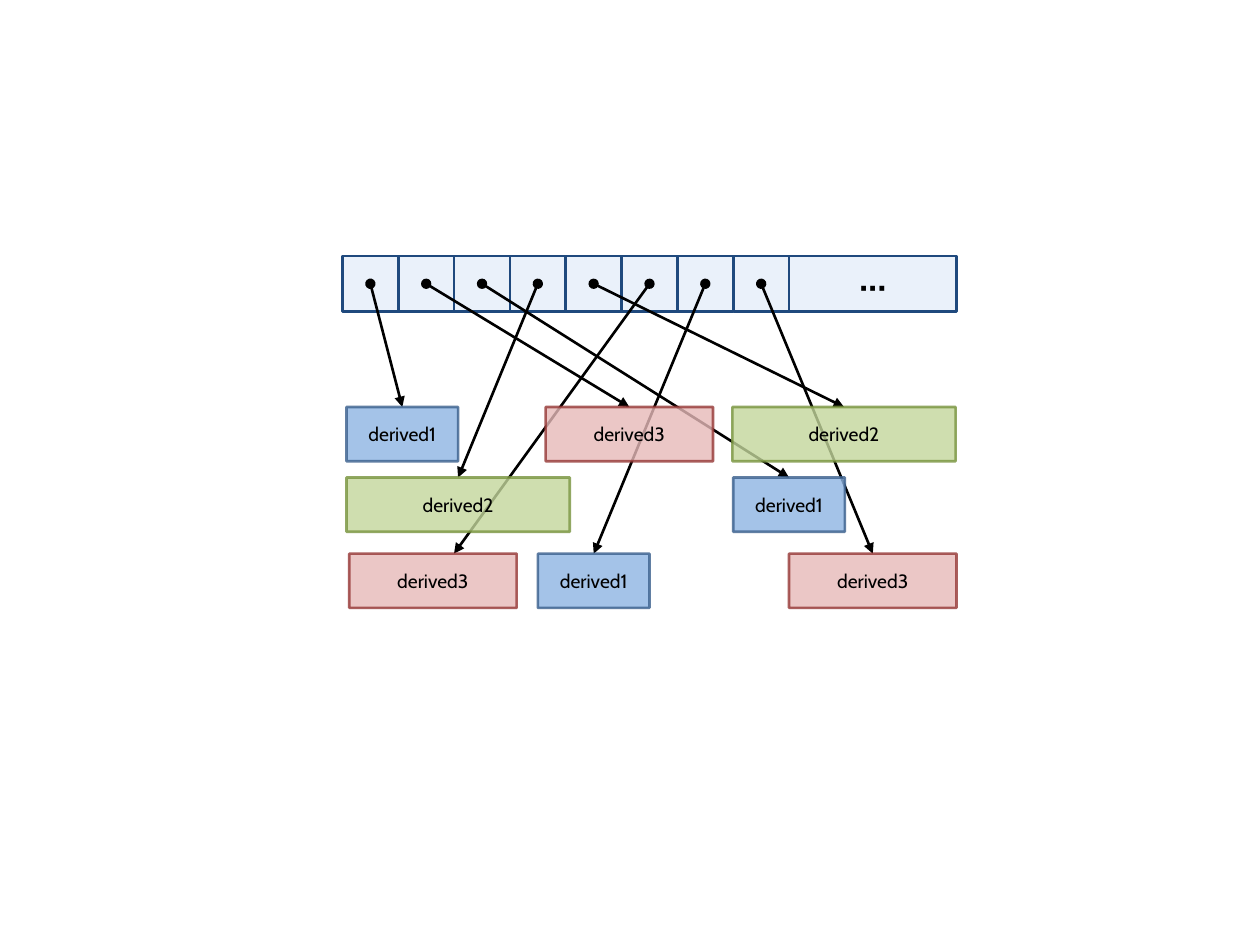
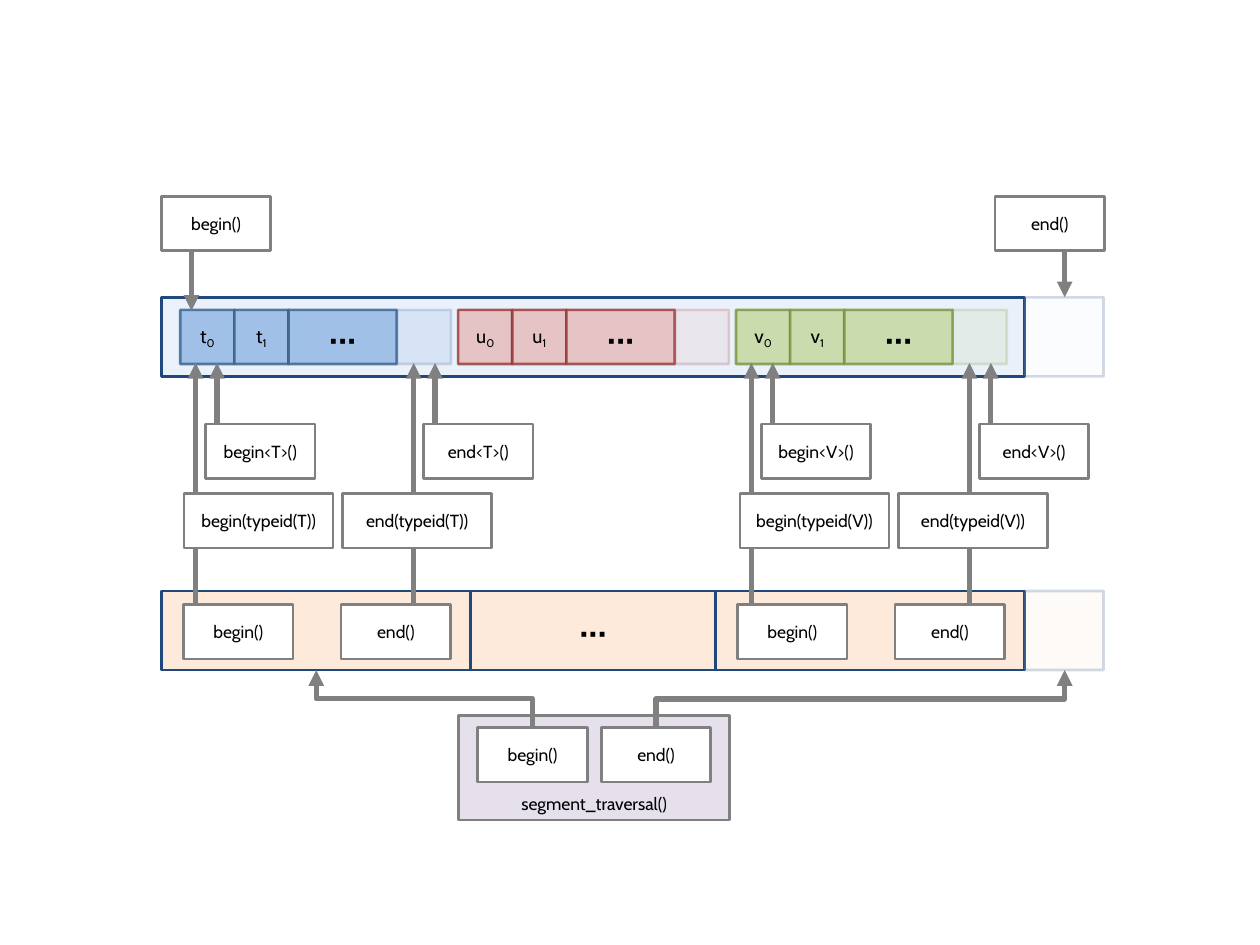
from pptx import Presentation
from pptx.dml.color import RGBColor
from pptx.enum.shapes import MSO_CONNECTOR, MSO_SHAPE
from pptx.enum.text import MSO_ANCHOR, PP_ALIGN
from pptx.oxml.ns import qn
from pptx.util import Pt
from lxml import etree

RECT = MSO_SHAPE.RECTANGLE
LINE, ELBOW = MSO_CONNECTOR.STRAIGHT, MSO_CONNECTOR.ELBOW
MIDDLE, BOTTOM = MSO_ANCHOR.MIDDLE, MSO_ANCHOR.BOTTOM
CENTER = PP_ALIGN.CENTER
DOTS = "···"
FONT = "Cabin"

COLORS = {
    "black": "000000", "white": "FFFFFF", "gray": "808080", "navy": "1F497D",
    "pale": "EAF1FA", "peach": "FDEADA", "lilac": "E6E0EC",
    "blue": "8EB4E3", "blue edge": "3A5F8C",
    "red": "E6B9B8", "red edge": "953735",
    "green": "C3D69B", "green edge": "77933C",
}


def rgb(name):
    return RGBColor.from_string(COLORS[name])


class Deck:
    def __init__(self):
        self.prs = Presentation()
        self.prs.slide_width, self.prs.slide_height = Pt(720), Pt(540)

    def page(self):
        self.slide = self.prs.slides.add_slide(self.prs.slide_layouts[6])

    def fade(self, shape, alpha):
        for color in shape._element.spPr.iter(qn("a:srgbClr")):
            etree.SubElement(color, qn("a:alpha"), val=str(alpha * 1000))

    def box(self, x, y, w, h, fill, edge, text="", size=10, sub="",
            alpha=100, anchor=MIDDLE):
        shape = self.slide.shapes.add_shape(RECT, Pt(x), Pt(y), Pt(w), Pt(h))
        shape.shadow.inherit = False
        shape.fill.solid()
        shape.fill.fore_color.rgb = rgb(fill)
        shape.line.color.rgb = rgb(edge)
        shape.line.width = Pt(1.5)
        if alpha < 100:
            self.fade(shape, alpha)
        if text:
            self.label(shape.text_frame, text, size, sub, anchor)

    def label(self, frame, text, size, sub, anchor):
        frame.margin_left = frame.margin_right = frame.margin_top = 0
        frame.margin_bottom = Pt(3.6) if anchor == BOTTOM else 0
        frame.word_wrap = True
        frame.vertical_anchor = anchor
        para = frame.paragraphs[0]
        para.text = text
        para.alignment = CENTER
        if sub:
            run = para.add_run()
            run.text = sub
            run._r.get_or_add_rPr().set("baseline", "-25000")
        for run in para.runs:
            run.font.name = FONT
            run.font.size = Pt(size)
            run.font.color.rgb = rgb("black")

    def tint(self, x, y, w, h, hue, text="", size=11, sub="", alpha=80):
        self.box(x, y, w, h, hue, hue + " edge", text, size, sub, alpha)

    def call(self, x, y, text, w=62.6):
        self.box(x, y, w, 31, "white", "gray", text)

    def arrow(self, x1, y1, x2, y2, color="gray", width=3, dot=False, kind=LINE):
        line = self.slide.shapes.add_connector(kind, Pt(x1), Pt(y1), Pt(x2), Pt(y2))
        line.line.color.rgb = rgb(color)
        line.line.width = Pt(width)
        ln = line.line._get_or_add_ln()
        if dot:
            etree.SubElement(ln, qn("a:headEnd"), type="oval")
        etree.SubElement(ln, qn("a:tailEnd"), type="triangle")
        etree.SubElement(line._element.spPr, qn("a:effectLst"))
        return line

    def elbow(self, x1, y1, x2, y2):
        # A quarter turn about the centre makes both ends run vertically
        mx, my = (x1 + x2) / 2, (y1 + y2) / 2
        dx, dy = (x1 - x2) / 2, (y1 - y2) / 2
        line = self.arrow(mx - dy, my + dx, mx + dy, my - dx, kind=ELBOW)
        line._element.spPr.find(qn("a:xfrm")).set("rot", "16200000")


deck = Deck()

# Slide 1: array of pointers to scattered objects
deck.page()
CELL, LEFT, TOP = 31.9, 195.7, 146.2
deck.box(LEFT + 8 * CELL, TOP, 3 * CELL, CELL, "pale", "navy", DOTS, 22)
for i in range(8):
    deck.box(LEFT + i * CELL, TOP, CELL, CELL, "pale", "navy")

KINDS = {"derived1": ("blue", 2), "derived2": ("green", 4), "derived3": ("red", 3)}
ROWS = (232.6, 272.9, 316.4)
# One object per cell: name, left, row, shift of the arrow tip from the middle
OBJECTS = (
    ("derived1", 198, 0, 0), ("derived3", 311.8, 0, 0),
    ("derived1", 419, 1, 0), ("derived2", 198, 1, 0),
    ("derived2", 418.5, 0, 0), ("derived3", 199.6, 2, 12),
    ("derived1", 307.4, 2, 0), ("derived3", 450.9, 2, 0),
)
for i, (name, x, row, shift) in enumerate(OBJECTS):
    tip = x + KINDS[name][1] * CELL / 2 + shift
    deck.arrow(LEFT + (i + 0.5) * CELL, TOP + CELL / 2, tip, ROWS[row],
               "black", 1.5, dot=True)
for name, x, row, shift in OBJECTS:
    hue, span = KINDS[name]
    deck.tint(x, ROWS[row], span * CELL, 31, hue, name)

# Slide 2: segments and their iterators
deck.page()
EDGE, END, HIGH = 92.2, 585.4, 45.2
UPPER, LOWER = 169.9, 337.7
SIDE, STEP = 30.95, 158.8

# Lower panel with its inner iterators
for x in (EDGE, 408.8):
    deck.box(x, LOWER, END - 408.8, HIGH, "peach", "navy")
    deck.call(x + 12.7, 345.6, "begin()")
    deck.call(x + 102.7, 345.6, "end()")
deck.box(269, LOWER, 139.8, HIGH, "peach", "navy", DOTS, 22)

# Upper panel with its segments
deck.box(EDGE, UPPER, END - EDGE, HIGH, "pale", "navy")
for y, fill in ((UPPER, "pale"), (LOWER, "peach")):
    deck.box(END, y, HIGH, HIGH, fill, "navy", alpha=20)
for i, (name, hue) in enumerate((("t", "blue"), ("u", "red"), ("v", "green"))):
    x = 103 + i * STEP
    for j in range(2):
        deck.tint(x + j * SIDE, 177.1, SIDE, SIDE, hue, name, sub=str(j))
    deck.tint(x + 2 * SIDE, 177.1, 2 * SIDE, SIDE, hue, DOTS, 22)
    deck.tint(x + 4 * SIDE, 177.1, SIDE, SIDE, hue, alpha=20)

# Iterators of the whole range
deck.call(EDGE, 112.3, "begin()")
deck.arrow(109.4, 143.6, 109.4, 177.6)
deck.call(568.6, 112.3, "end()")
deck.arrow(608.4, 143.6, 608.4, UPPER)

# Iterators of single segments
for i, kind in ((0, "T"), (2, "V")):
    left = 103 + i * STEP
    for word, dx, mid in (("begin", 0, 2.2), ("end", 124.6, 92.8)):
        x = left + dx
        deck.arrow(x + 8.8, 345.2, x + 8.8, 207.4)
        deck.arrow(x + 21, 242.3, x + 21, 207.4)
        deck.call(x + 14.4, 242.3, f"{word}<{kind}>()")
        deck.call(left + mid, 282.2, f"{word}(typeid({kind}))", 85.2)

# Segment traversal
deck.box(262.1, 408.8, 154.8, 59.8, "lilac", "gray", "segment_traversal()",
         anchor=BOTTOM)
for word, x, tip in (("begin()", 273, 180.7), ("end()", 343.6, 608.4)):
    deck.call(x, 415.8, word)
    deck.elbow(x + 31.3, 415.8, tip, LOWER + HIGH)

deck.prs.save("out.pptx")
